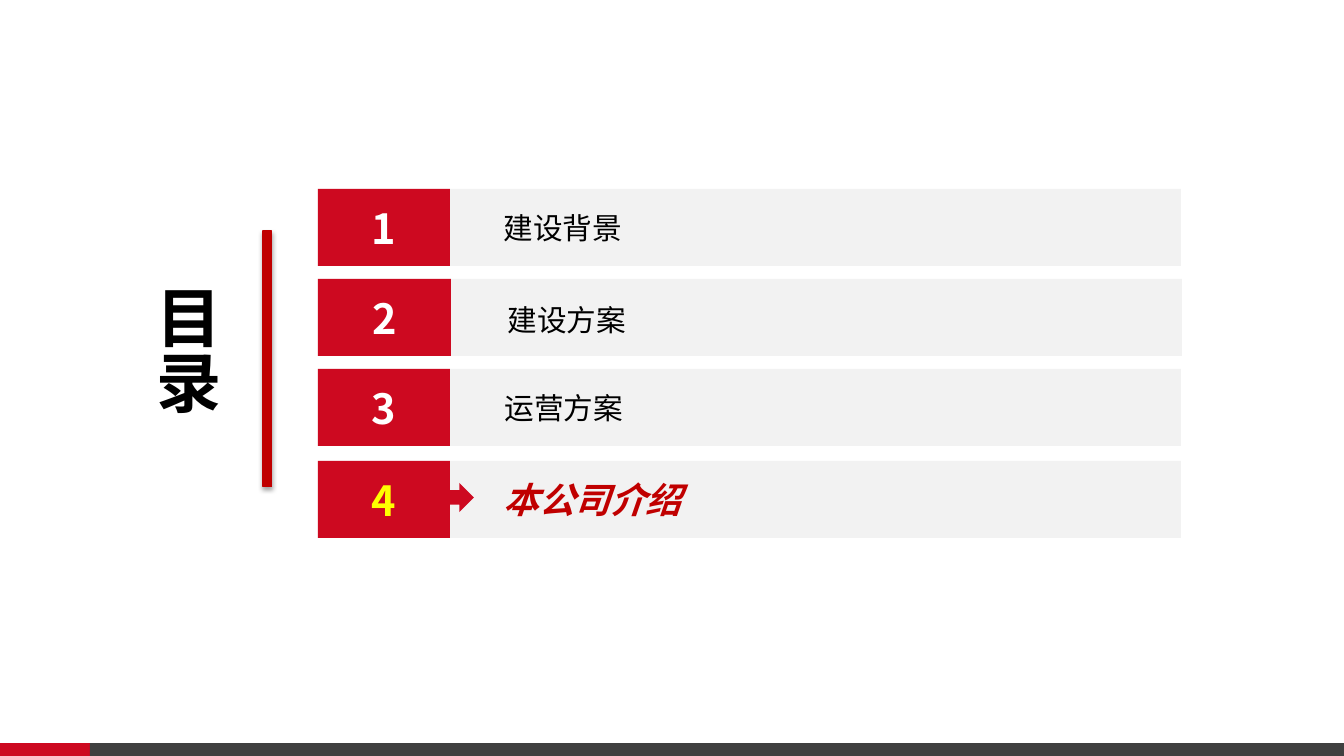
from dataclasses import dataclass

from lxml import etree
from pptx import Presentation
from pptx.dml.color import RGBColor
from pptx.enum.shapes import MSO_SHAPE
from pptx.enum.text import MSO_ANCHOR, MSO_AUTO_SIZE, PP_ALIGN
from pptx.oxml.ns import qn
from pptx.shapes.autoshape import Shape
from pptx.slide import Slide
from pptx.util import Emu, Pt

RECTANGLE = MSO_SHAPE.RECTANGLE
RIGHT_ARROW = MSO_SHAPE.RIGHT_ARROW
MIDDLE = MSO_ANCHOR.MIDDLE
CENTER = PP_ALIGN.CENTER
LEFT = PP_ALIGN.LEFT
NO_AUTOFIT = MSO_AUTO_SIZE.NONE

RED = RGBColor(0xCD, 0x09, 0x20)
DARK_RED = RGBColor(0xC0, 0x00, 0x00)
YELLOW = RGBColor(0xFF, 0xFF, 0x00)
WHITE = RGBColor(0xFF, 0xFF, 0xFF)
BLACK = RGBColor(0x00, 0x00, 0x00)
LIGHT_GRAY = RGBColor(0xF2, 0xF2, 0xF2)
DARK_GRAY = RGBColor(0x40, 0x40, 0x40)

FONT = "Noto Sans CJK SC"
EMU_PER_PX = 8572.5
SLIDE_WIDTH, SLIDE_HEIGHT = 1344, 756
ROW_LEFT, ROW_HEIGHT = 318, 77
LABEL_WIDTH, LABEL_HEIGHT = 655, 29


@dataclass(frozen=True)
class Box:
    left: int
    top: int
    width: int
    height: int


@dataclass(frozen=True)
class TextStyle:
    size: int
    color: RGBColor
    bold: bool = False
    italic: bool = False


@dataclass(frozen=True)
class AgendaRow:
    label: str
    top: int
    label_left: int = 493
    label_shift: int = 0
    extra_width: int = 0
    active: bool = False


AGENDA = (
    AgendaRow("建设背景", 189),
    AgendaRow("建设方案", 279, label_left=497, label_shift=2, extra_width=1),
    AgendaRow("运营方案", 369, label_left=494),
    AgendaRow("本公司介绍", 461, active=True),
)
TITLE_STYLE = TextStyle(44, BLACK, bold=True)
NUMBER_STYLE = TextStyle(28, WHITE, bold=True)
ACTIVE_NUMBER_STYLE = TextStyle(28, YELLOW, bold=True)
LABEL_STYLE = TextStyle(20, BLACK)
ACTIVE_LABEL_STYLE = TextStyle(24, DARK_RED, bold=True, italic=True)


def px(length: int) -> Emu:
    return Emu(round(length * EMU_PER_PX))


def place(shape: Shape, box: Box) -> None:
    shape.left, shape.top = px(box.left), px(box.top)
    shape.width, shape.height = px(box.width), px(box.height)


def write_text(shape: Shape, text: str, style: TextStyle, alignment: PP_ALIGN) -> None:
    frame = shape.text_frame
    frame.word_wrap = True
    frame.auto_size = NO_AUTOFIT
    frame.vertical_anchor = MIDDLE
    paragraph = frame.paragraphs[0]
    paragraph.alignment = alignment
    run = paragraph.add_run()
    run.text = text
    font = run.font
    font.name = FONT
    font.size = Pt(style.size)
    font.bold = style.bold
    font.italic = style.italic
    font.color.rgb = style.color
    east_asian = etree.SubElement(run._r.get_or_add_rPr(), qn("a:ea"))
    east_asian.set("typeface", FONT)


def add_block(slide: Slide, box: Box, color: RGBColor,
              preset: MSO_SHAPE = RECTANGLE) -> Shape:
    shape = slide.shapes.add_shape(preset, 0, 0, 0, 0)
    place(shape, box)
    shape.shadow.inherit = False
    shape.fill.solid()
    shape.fill.fore_color.rgb = color
    shape.line.fill.background()
    return shape


def add_soft_shadow(shape: Shape) -> None:
    effects = shape._element.spPr.find(qn("a:effectLst"))
    shadow = etree.SubElement(
        effects, qn("a:outerShdw"), blurRad=str(Pt(3.1)), dist=str(Pt(1.8)),
        dir="5400000", rotWithShape="0")
    color = etree.SubElement(shadow, qn("a:srgbClr"), val="000000")
    etree.SubElement(color, qn("a:alpha"), val="35000")


def add_agenda_row(slide: Slide, number: int, row: AgendaRow) -> None:
    add_block(slide, Box(ROW_LEFT, row.top, 863 + row.extra_width, ROW_HEIGHT), LIGHT_GRAY)
    number_box = add_block(
        slide, Box(ROW_LEFT, row.top, 132 + row.extra_width, ROW_HEIGHT), RED)
    write_text(number_box, str(number),
               ACTIVE_NUMBER_STYLE if row.active else NUMBER_STYLE, CENTER)

    label_top = row.top + (ROW_HEIGHT - LABEL_HEIGHT) // 2 + row.label_shift
    label = slide.shapes.add_textbox(0, 0, 0, 0)
    place(label, Box(row.label_left, label_top, LABEL_WIDTH, LABEL_HEIGHT))
    write_text(label, row.label,
               ACTIVE_LABEL_STYLE if row.active else LABEL_STYLE, LEFT)
    if row.active:
        add_block(slide, Box(432, label_top - 2, 42, LABEL_HEIGHT), RED, RIGHT_ARROW)


def main() -> None:
    presentation = Presentation()
    presentation.slide_width = px(SLIDE_WIDTH)
    presentation.slide_height = px(SLIDE_HEIGHT)
    slide = presentation.slides.add_slide(presentation.slide_layouts[5])

    # Footer band
    add_block(slide, Box(0, 743, 154, 18), RED)
    add_block(slide, Box(90, 743, 1254, 18), DARK_GRAY)

    # Title, one character per line
    title = slide.shapes.title
    place(title, Box(132, 133, 114, 445))
    write_text(title, "目录", TITLE_STYLE, CENTER)
    title.text_frame.paragraphs[0].line_spacing = 0.83

    # Divider
    divider = add_block(slide, Box(263, 231, 9, 256), DARK_RED)
    divider.line.color.rgb = DARK_RED
    divider.line.width = Pt(0.75)
    add_soft_shadow(divider)

    # Agenda
    for number, row in enumerate(AGENDA, start=1):
        add_agenda_row(slide, number, row)

    presentation.save("out.pptx")


if __name__ == "__main__":
    main()
